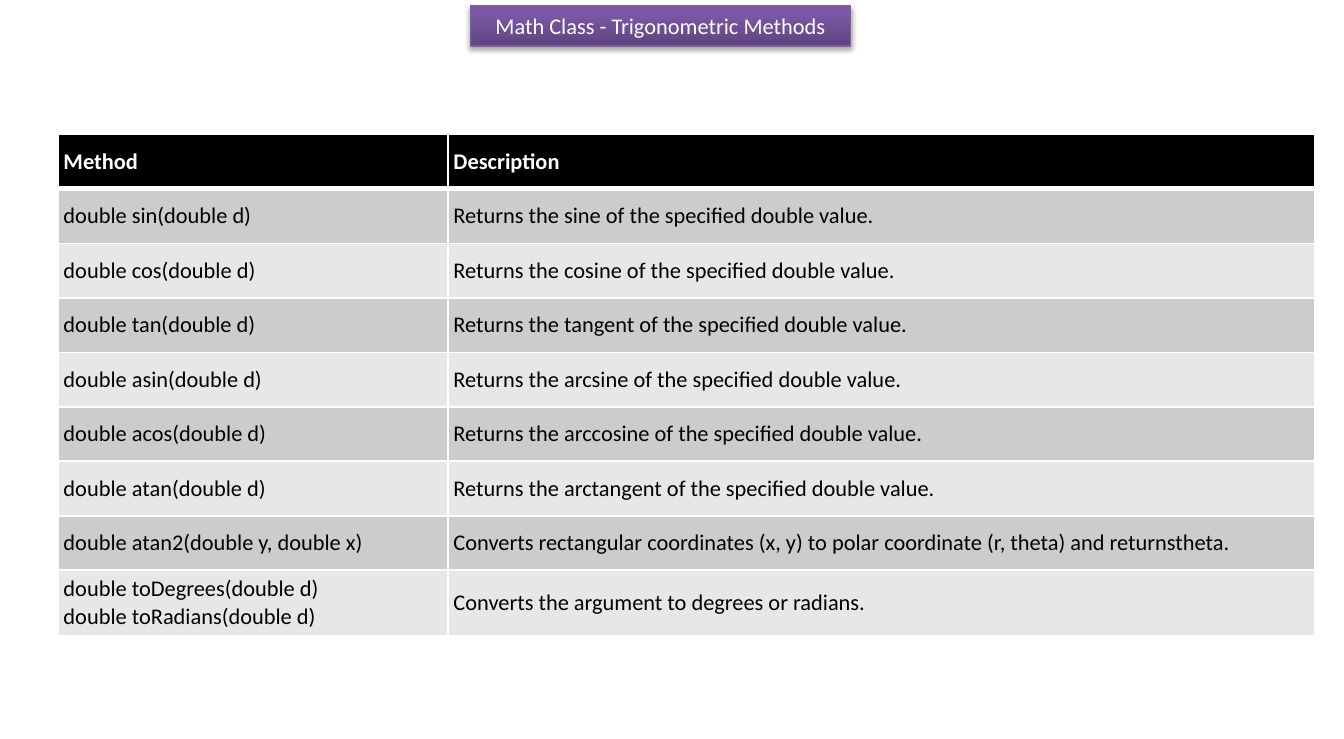
from lxml.etree import SubElement
from pptx import Presentation
from pptx.dml.color import RGBColor
from pptx.enum.shapes import MSO_SHAPE
from pptx.enum.text import MSO_ANCHOR, PP_ALIGN
from pptx.oxml.ns import qn
from pptx.util import Cm, Pt

RECTANGLE = MSO_SHAPE.RECTANGLE
MIDDLE = MSO_ANCHOR.MIDDLE
CENTER = PP_ALIGN.CENTER

TITLE = "Math Class - Trigonometric Methods"
HEADER = ("Method", "Description")
METHODS = [
    ("double sin(double d)", "Returns the sine of the specified double value."),
    ("double cos(double d)", "Returns the cosine of the specified double value."),
    ("double tan(double d)", "Returns the tangent of the specified double value."),
    ("double asin(double d)", "Returns the arcsine of the specified double value."),
    ("double acos(double d)", "Returns the arccosine of the specified double value."),
    ("double atan(double d)", "Returns the arctangent of the specified double value."),
    ("double atan2(double y, double x)",
     "Converts rectangular coordinates (x, y) to polar coordinate (r, theta) and returnstheta."),
    ("double toDegrees(double d)\vdouble toRadians(double d)",
     "Converts the argument to degrees or radians."),
]

THEME = {
    "font": "Calibri",
    "size": Pt(12),
    "light_text": "FFFFFF",
    "dark_text": "000000",
    "header_fill": "000000",
    "bands": ("CCCCCC", "E7E7E7"),
    "border": "FFFFFF",
    "title_gradient": ((0, "5F4480"), (80, "7B58A6"), (100, "7C57A8")),
    "title_line": "7D60A0",
    "shadow": "000000",
}

COLUMN_WIDTHS = (Cm(7.37), Cm(16.38))
ROW_HEIGHT = Cm(1.03)
LAST_ROW_HEIGHT = Cm(1.22)
CELL_MARGIN = Cm(0.1)


def format_text(text_frame, color, bold=False):
    for paragraph in text_frame.paragraphs:
        for run in paragraph.runs:
            run.font.name = THEME["font"]
            run.font.size = THEME["size"]
            run.font.bold = bold
            run.font.color.rgb = RGBColor.from_string(color)


def add_color(parent, color):
    return SubElement(parent, qn("a:srgbClr"), val=color)


def set_borders(cell, bottom_width):
    properties = cell._tc.get_or_add_tcPr()
    widths = {"a:lnL": 1, "a:lnR": 1, "a:lnT": 1, "a:lnB": bottom_width}
    for position, (tag, width) in enumerate(widths.items()):
        line = SubElement(properties, qn(tag), w=str(Pt(width)))
        add_color(SubElement(line, qn("a:solidFill")), THEME["border"])
        properties.insert(position, line)


def add_methods_table(slide):
    rows = [HEADER, *METHODS]
    heights = [ROW_HEIGHT] * len(METHODS) + [LAST_ROW_HEIGHT]
    table = slide.shapes.add_table(
        len(rows), len(HEADER), Cm(1.1), Cm(2.54), sum(COLUMN_WIDTHS), sum(heights)
    ).table
    for column, width in zip(table.columns, COLUMN_WIDTHS):
        column.width = width
    for row_index, texts in enumerate(rows):
        table.rows[row_index].height = heights[row_index]
        is_header = row_index == 0
        fill = THEME["header_fill"] if is_header else THEME["bands"][(row_index - 1) % 2]
        color = THEME["light_text"] if is_header else THEME["dark_text"]
        for column_index, text in enumerate(texts):
            cell = table.cell(row_index, column_index)
            cell.text_frame.text = text
            format_text(cell.text_frame, color, is_header)
            cell.vertical_anchor = MIDDLE
            cell.margin_left = cell.margin_right = CELL_MARGIN
            cell.margin_top = cell.margin_bottom = CELL_MARGIN
            cell.fill.solid()
            cell.fill.fore_color.rgb = RGBColor.from_string(fill)
            set_borders(cell, 3 if is_header else 1)


def add_title(slide):
    shape = slide.shapes.add_shape(RECTANGLE, Cm(8.89), Cm(0.1), Cm(7.19), Cm(0.77))
    shape.fill.gradient()
    shape.fill.gradient_angle = 90
    properties = shape._element.spPr
    stops = properties.find(".//" + qn("a:gsLst"))
    for stop in list(stops):
        stops.remove(stop)
    for percent, color in THEME["title_gradient"]:
        add_color(SubElement(stops, qn("a:gs"), pos=str(percent * 1000)), color)
    shape.line.color.rgb = RGBColor.from_string(THEME["title_line"])
    shape.line.width = Pt(0.75)

    shape.shadow.inherit = False
    shadow = SubElement(
        properties.find(qn("a:effectLst")), qn("a:outerShdw"),
        blurRad=str(Pt(3.1)), dist=str(Pt(1.8)), dir="5400000", rotWithShape="0",
    )
    SubElement(add_color(shadow, THEME["shadow"]), qn("a:alpha"), val="35000")

    text_frame = shape.text_frame
    text_frame.word_wrap = True
    text_frame.vertical_anchor = MIDDLE
    text_frame.text = TITLE
    text_frame.paragraphs[0].alignment = CENTER
    format_text(text_frame, THEME["light_text"])


def main():
    presentation = Presentation()
    presentation.slide_width = Cm(25.4)
    presentation.slide_height = Cm(13.97)
    slide = presentation.slides.add_slide(presentation.slide_layouts[6])
    add_methods_table(slide)
    add_title(slide)
    presentation.save("out.pptx")


if __name__ == "__main__":
    main()
